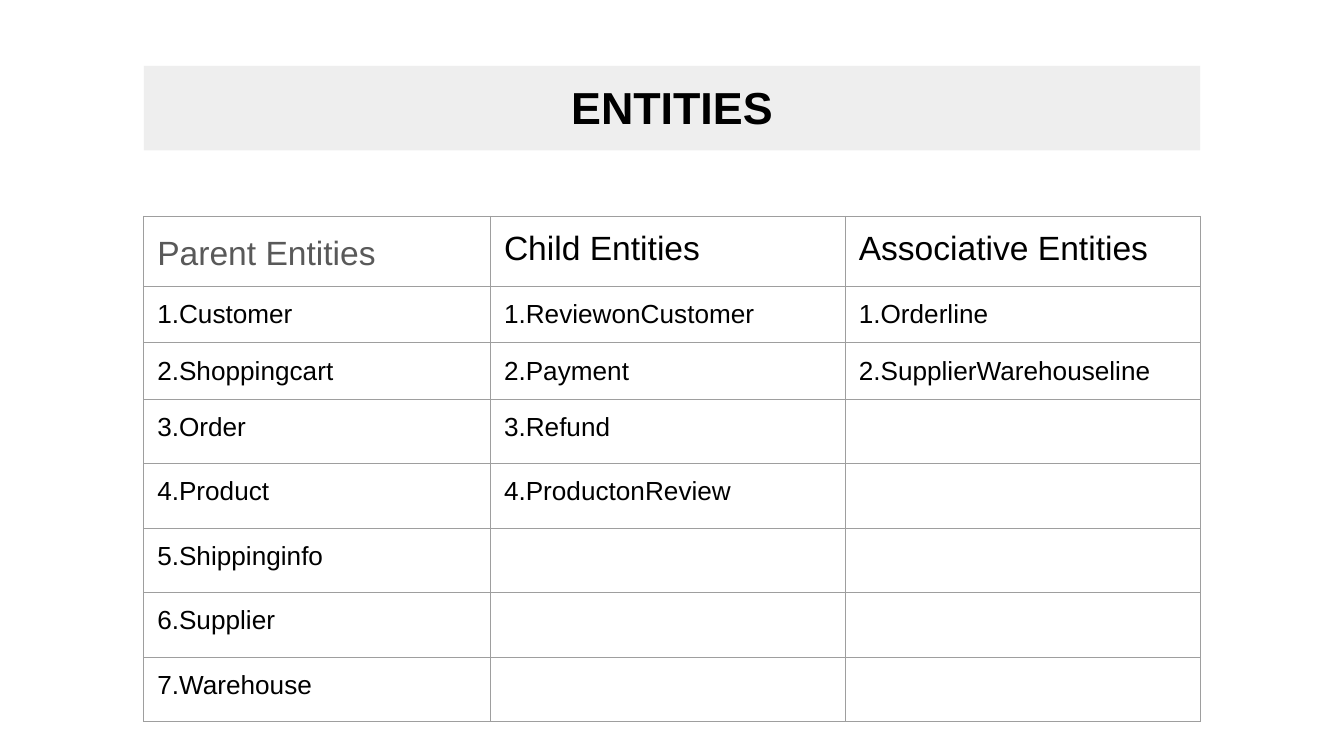
import pptx
import pptx.dml.color
import pptx.enum.text
import pptx.oxml
import pptx.oxml.ns
import pptx.util

Inches = pptx.util.Inches
Pt = pptx.util.Pt
RGB = pptx.dml.color.RGBColor
Align = pptx.enum.text.PP_ALIGN
Anchor = pptx.enum.text.MSO_ANCHOR
Fit = pptx.enum.text.MSO_AUTO_SIZE

BLACK = RGB(0x00, 0x00, 0x00)
GRAY = RGB(0x59, 0x59, 0x59)
PALE = RGB(0xEE, 0xEE, 0xEE)
WHITE = RGB(0xFF, 0xFF, 0xFF)
LINE = RGB(0x9E, 0x9E, 0x9E)

# Grid in inches
WIDE = 10
HIGH = WIDE * 9 / 16
LEFT = 1.07
COLS = [2.58, 2.64, 2.64]
ROWS = [0.52] + [0.41] * 2 + [0.48] * 5
INSET = Inches(0.1)
SIDES = ("left", "right", "top", "bottom")
PADS = {f"margin_{side}": INSET for side in SIDES}

# Heading and entries of each column
LISTS = {
    "Parent Entities": ["Customer", "Shoppingcart", "Order", "Product",
                        "Shippinginfo", "Supplier", "Warehouse"],
    "Child Entities": ["ReviewonCustomer", "Payment", "Refund",
                       "ProductonReview"],
    "Associative Entities": ["Orderline", "SupplierWarehouseline"],
}


def apply(item, values):
    for name, value in values.items():
        setattr(item, name, value)


def paint(item, color):
    item.fill.solid()
    item.fill.fore_color.rgb = color


def write(frame, text, size, color=BLACK, bold=False):
    para = frame.paragraphs[0]
    run = para.add_run()
    run.text = text
    apply(run.font, {"name": "Arial", "size": Pt(size), "bold": bold})
    run.font.color.rgb = color
    return para


def enter(cell, text, size, color=BLACK):
    apply(cell, PADS)
    return write(cell.text_frame, text, size, color)


def border(cell):
    props = cell._tc.get_or_add_tcPr()
    space = pptx.oxml.ns.nsdecls("a")
    for side in "LRTB":
        props.append(pptx.oxml.parse_xml(
            f'<a:ln{side} {space} w="{Pt(0.75)}"><a:solidFill>'
            f'<a:srgbClr val="{LINE}"/></a:solidFill></a:ln{side}>'))


def add_title(slide, text):
    title = slide.shapes.title
    apply(title, {"left": Inches(LEFT), "top": Inches(0.49),
                  "width": Inches(sum(COLS)), "height": Inches(0.63)})
    paint(title, PALE)
    frame = title.text_frame
    apply(frame, {**PADS, "auto_size": Fit.NONE, "word_wrap": True,
                  "vertical_anchor": Anchor.TOP})
    write(frame, text, 24, bold=True).alignment = Align.CENTER


def add_grid(slide):
    table = slide.shapes.add_table(
        len(ROWS), len(COLS), Inches(LEFT), Inches(1.61),
        Inches(sum(COLS)), Inches(sum(ROWS))).table
    apply(table, {"first_row": False, "horz_banding": False})
    for col, width in zip(table.columns, COLS):
        col.width = Inches(width)
    for row, height in zip(table.rows, ROWS):
        row.height = Inches(height)
    for cell in table.iter_cells():
        border(cell)
        paint(cell, WHITE)
    return table


def fill_grid(table):
    for col, (head, names) in enumerate(LISTS.items()):
        # The first heading is gray and set looser
        color = BLACK if col else GRAY
        para = enter(table.cell(0, col), head, 18, color)
        if col == 0:
            apply(para, {"line_spacing": 1.15, "space_after": Pt(16)})
        for row, name in enumerate(names, 1):
            enter(table.cell(row, col), f"{row}.{name}", 14)


def main():
    deck = pptx.Presentation()
    apply(deck, {"slide_width": Inches(WIDE), "slide_height": Inches(HIGH)})
    slide = deck.slides.add_slide(deck.slide_layouts[5])
    add_title(slide, "ENTITIES")
    fill_grid(add_grid(slide))
    deck.save("out.pptx")


if __name__ == "__main__":
    main()
